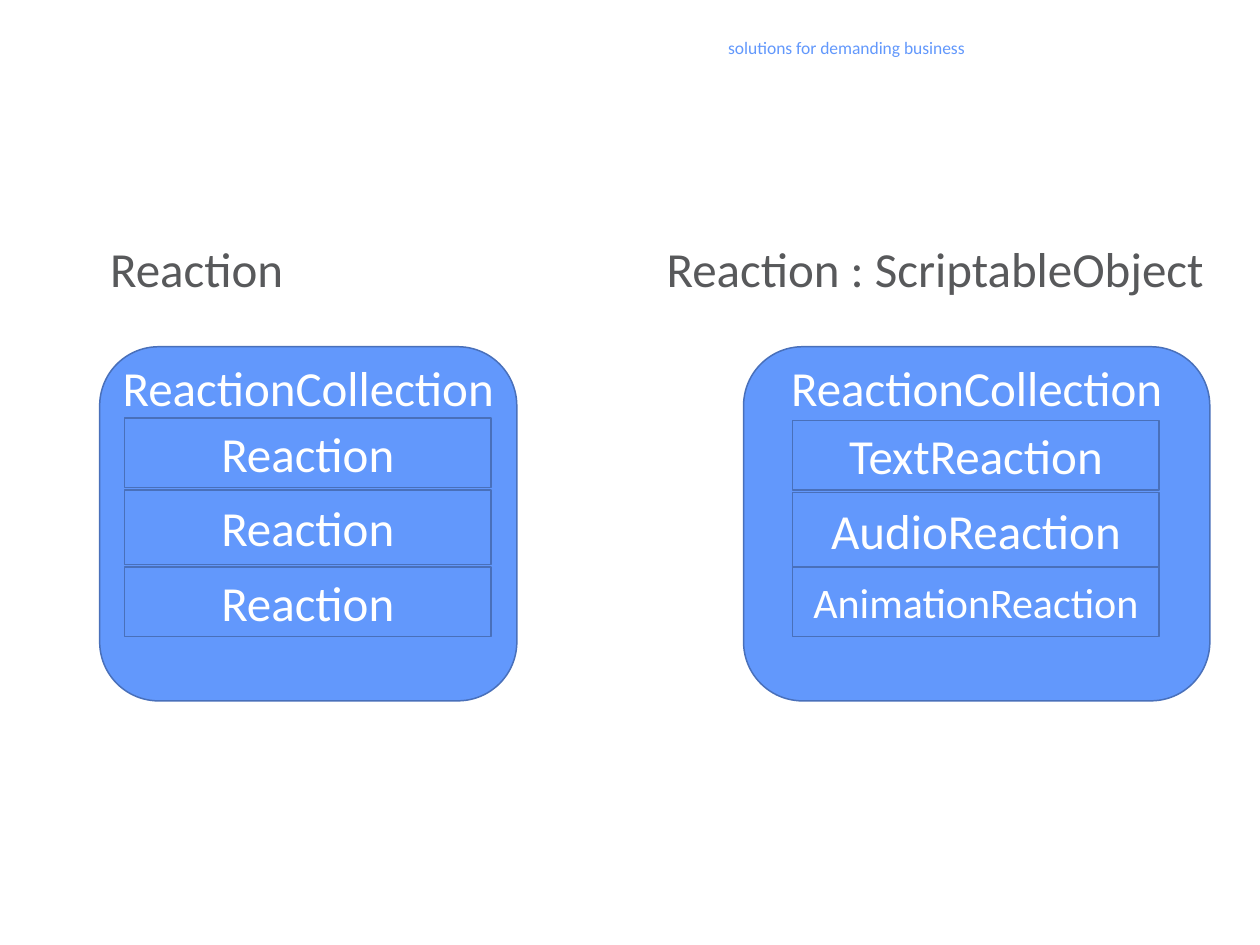
from dataclasses import dataclass

from pptx import Presentation
from pptx.dml.color import RGBColor
from pptx.enum.shapes import MSO_SHAPE
from pptx.enum.text import MSO_ANCHOR, MSO_AUTO_SIZE, PP_ALIGN
from pptx.util import Cm, Pt

FILL = "6298FC"
OUTLINE = "4970BA"
WHITE = "FFFFFF"
GRAY = "58595B"
ROW_WIDTH = 7.39
ROW_HEIGHTS = (1.4, 1.5, 1.4)


@dataclass
class Row:
    text: str
    top: float
    size: int = 28


@dataclass
class Panel:
    heading: str
    heading_index: int
    heading_left: float
    heading_width: float
    left: float
    width: float
    row_left: float
    rows: tuple[Row, ...]


PANELS = (
    Panel("Reaction", 1, 2.22, 8, 2.01, 8.41, 2.51,
          (Row("Reaction", 8.43), Row("Reaction", 9.88), Row("Reaction", 11.43))),
    Panel("Reaction : ScriptableObject", 3, 13.44, 11.5, 14.99, 9.4, 15.98,
          (Row("TextReaction", 8.48), Row("AudioReaction", 9.93),
           Row("AnimationReaction", 11.43, 24))),
)


def color(value: str) -> RGBColor:
    return RGBColor.from_string(value)


def write(shape, text: str, *, size: int = 28, ink: str = WHITE,
          align=PP_ALIGN.CENTER, anchor=MSO_ANCHOR.MIDDLE,
          spacing: float = 1.0, wrap: bool = False) -> None:
    frame = shape.text_frame
    frame.margin_left = frame.margin_right = 0
    frame.margin_top = frame.margin_bottom = 0
    frame.word_wrap = wrap
    frame.auto_size = MSO_AUTO_SIZE.NONE
    frame.vertical_anchor = anchor
    para = frame.paragraphs[0]
    para.alignment = align
    para.line_spacing = spacing
    para.space_before = Pt(0)
    span = para.add_run()
    span.text = text
    span.font.name = "Calibri"
    span.font.size = Pt(size)
    span.font.bold = False
    span.font.color.rgb = color(ink)


def place(shape, left: float, top: float, width: float, height: float) -> None:
    shape.left, shape.top = Cm(left), Cm(top)
    shape.width, shape.height = Cm(width), Cm(height)


def add_box(page, kind, left: float, top: float, width: float, height: float):
    box = page.shapes.add_shape(kind, Cm(left), Cm(top), Cm(width), Cm(height))
    box.shadow.inherit = False
    box.fill.solid()
    box.fill.fore_color.rgb = color(FILL)
    box.line.color.rgb = color(OUTLINE)
    box.line.width = Pt(0.85)
    return box


def draw_panel(page, panel: Panel) -> None:
    heading = page.placeholders[panel.heading_index]
    place(heading, panel.heading_left, 4.8, panel.heading_width, 1.25)
    write(heading, panel.heading, ink=GRAY, align=PP_ALIGN.LEFT,
          anchor=MSO_ANCHOR.TOP, wrap=True)
    collection = add_box(page, MSO_SHAPE.ROUNDED_RECTANGLE,
                         panel.left, 6.99, panel.width, 7.14)
    write(collection, "ReactionCollection", anchor=MSO_ANCHOR.TOP, spacing=0.9)
    for row, height in zip(panel.rows, ROW_HEIGHTS):
        box = add_box(page, MSO_SHAPE.RECTANGLE,
                      panel.row_left, row.top, ROW_WIDTH, height)
        write(box, row.text, size=row.size)


def main() -> None:
    deck = Presentation()
    deck.slide_width, deck.slide_height = Cm(25.4), Cm(19.05)
    page = deck.slides.add_slide(deck.slide_layouts.get_by_name("Comparison"))
    tagline = page.shapes.add_textbox(Cm(14.68), Cm(0.61), Cm(5.2), Cm(0.69))
    write(tagline, "solutions for demanding business", size=10, ink=FILL,
          align=PP_ALIGN.LEFT, wrap=True)
    for panel in PANELS:
        draw_panel(page, panel)
    for placeholder in list(page.placeholders):
        if not placeholder.text_frame.text:
            placeholder.element.getparent().remove(placeholder.element)
    deck.save("out.pptx")


if __name__ == "__main__":
    main()
